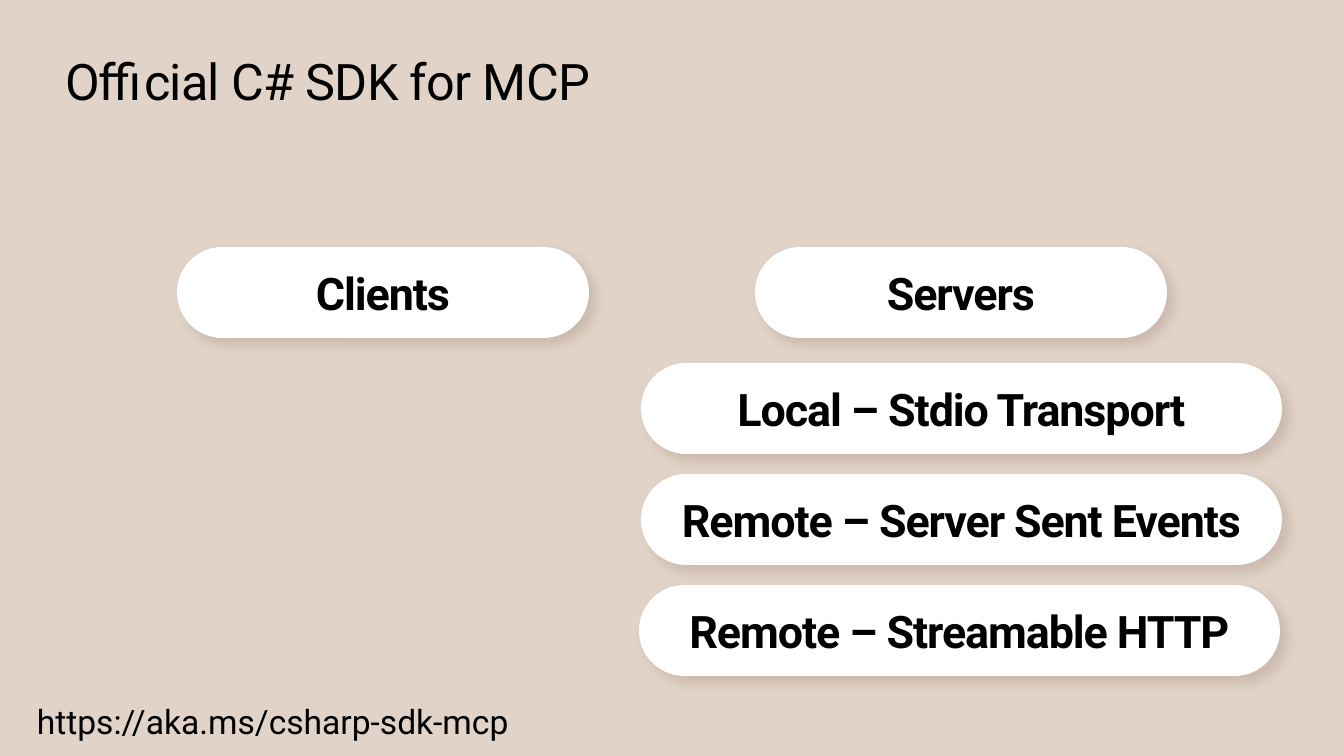
from dataclasses import dataclass
from lxml import etree
from pptx import Presentation
from pptx.dml.color import RGBColor
from pptx.enum.shapes import MSO_SHAPE as SHAPE
from pptx.enum.text import MSO_ANCHOR as ANCHOR, MSO_AUTO_SIZE as FIT, PP_ALIGN as ALIGN
from pptx.oxml import parse_xml
from pptx.oxml.ns import nsdecls
from pptx.util import Emu, Pt

# Content
TITLE = "Official C# SDK for MCP"
LINK = "https://aka.ms/csharp-sdk-mcp"
ROLES = [("Clients", 177), ("Servers", 755)]  # text, left
TRANSPORTS = [
    ("Local – Stdio Transport", 641),
    ("Remote – Server Sent Events", 641),
    ("Remote – Streamable HTTP", 639),
]

# Layout in px
SLIDE_W, SLIDE_H = 1344, 756
PILL_H, ROLE_W, TRANSPORT_W = 91, 412, 641
ROLE_TOP, TRANSPORT_TOP, TRANSPORT_STEP = 247, 363, 111
PAD = 5


@dataclass(frozen=True)
class Theme:
    font: str = "Roboto"
    background: str = "E1D3C7"
    pill: str = "FFFFFF"
    text: str = "000000"
    shadow: str = "562920"
    title_size: int = 36
    pill_size: int = 32
    link_size: int = 24


THEME = Theme()


def px(n):
    return Emu(round(n * 914400 / 100.8))


def box(left, top, width, height):
    return [px(n) for n in (left, top, width, height)]


def rgb(value):
    return RGBColor.from_string(value)


def set_text(shape, text, size, anchor=ANCHOR.TOP, align=ALIGN.LEFT,
             bold=False, spacing=0, margins=None):
    tf = shape.text_frame
    tf.word_wrap = True
    tf.auto_size = FIT.SHAPE_TO_FIT_TEXT
    tf.vertical_anchor = anchor
    if margins:
        tf.margin_left = tf.margin_right = px(margins[0])
        tf.margin_top = tf.margin_bottom = px(margins[1])
    p = tf.paragraphs[0]
    p.alignment = align
    r = p.add_run()
    r.text = text
    font = p.font
    font.name, font.size, font.bold = THEME.font, Pt(size), bold
    font.color.rgb = rgb(THEME.text)
    if spacing:
        r._r.get_or_add_rPr().set("spc", str(round(spacing * 100)))


def add_shadow(shape):
    shape._element.spPr.append(parse_xml(
        f'<a:effectLst {nsdecls("a")}>'
        f'<a:outerShdw blurRad="{Pt(8)}" dist="{Pt(6)}" dir="2700000" algn="tl" rotWithShape="0">'
        f'<a:srgbClr val="{THEME.shadow}"><a:alpha val="15000"/></a:srgbClr>'
        '</a:outerShdw></a:effectLst>'))


def add_pill(s, text, left, top, width):
    sp = s.shapes.add_shape(SHAPE.ROUNDED_RECTANGLE, *box(left, top, width, PILL_H))
    sp.adjustments[0] = 0.5
    sp.fill.solid()
    sp.fill.fore_color.rgb = rgb(THEME.pill)
    sp.line.fill.background()
    add_shadow(sp)
    set_text(sp, text, THEME.pill_size, ANCHOR.BOTTOM, ALIGN.CENTER,
             bold=True, spacing=-0.8, margins=(0, PAD))


def main():
    prs = Presentation()
    prs.slide_width, prs.slide_height = px(SLIDE_W), px(SLIDE_H)
    s = prs.slides.add_slide(prs.slide_layouts[5])
    s.background.fill.solid()
    s.background.fill.fore_color.rgb = rgb(THEME.background)

    # Title
    title = s.shapes.title
    title.left, title.top, title.width, title.height = box(65, 50, 1215, 61)
    set_text(title, TITLE, THEME.title_size, spacing=-0.5, margins=(0, 0))

    # Roles, with the server transports stacked below
    for text, left in ROLES:
        add_pill(s, text, left, ROLE_TOP, ROLE_W)
    for i, (text, left) in enumerate(TRANSPORTS):
        add_pill(s, text, left, TRANSPORT_TOP + i * TRANSPORT_STEP, TRANSPORT_W)

    # Link
    link = s.shapes.add_textbox(*box(27, 696, 862, 50))
    set_text(link, LINK, THEME.link_size)

    prs.save("out.pptx")


if __name__ == "__main__":
    main()
